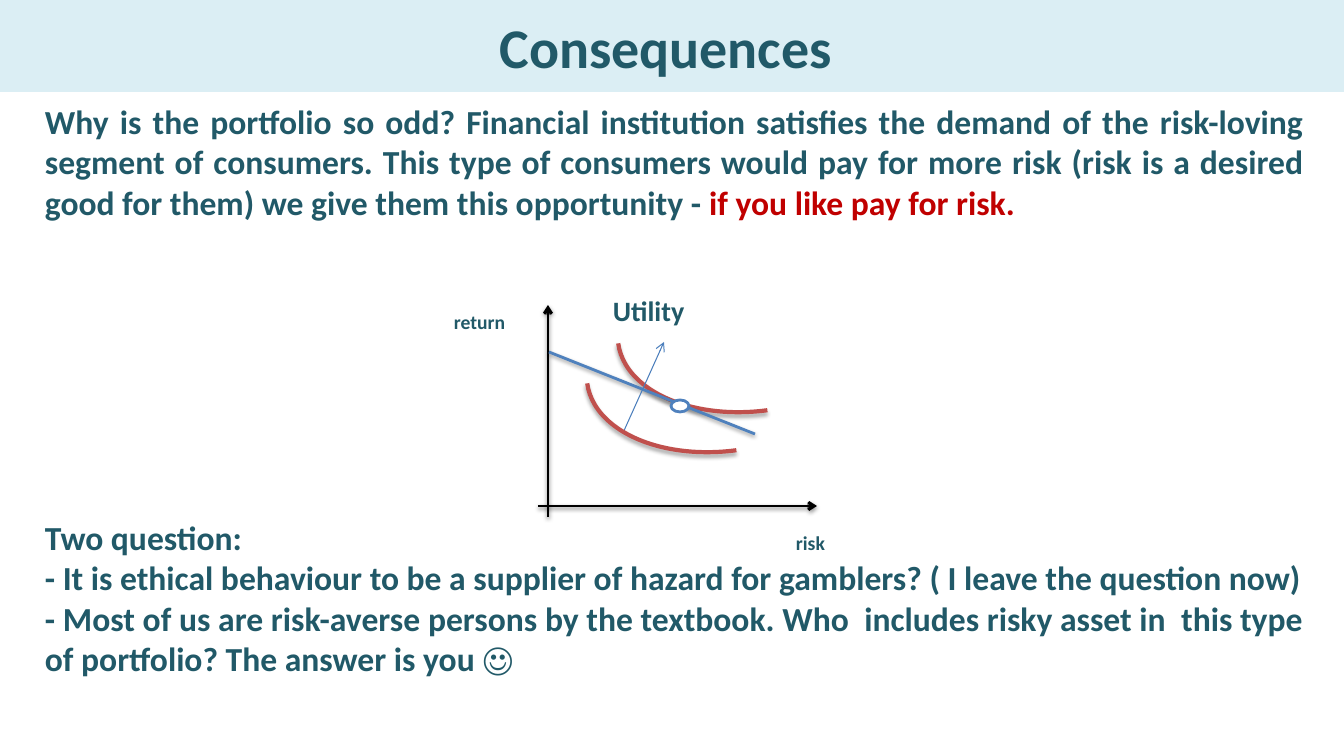
"""Build the Consequences slide with its indifference-curve diagram."""
from lxml import etree
from pptx import Presentation
from pptx.dml.color import RGBColor
from pptx.enum.shapes import MSO_CONNECTOR as CONN, MSO_SHAPE as SHAPE
from pptx.enum.text import MSO_ANCHOR as ANCHOR, MSO_AUTO_SIZE as AUTO, PP_ALIGN as ALIGN
from pptx.oxml.ns import qn
from pptx.util import Emu, Pt

EMU_PER_PX = 914400 / 100.8
TEAL = RGBColor(0x21, 0x59, 0x68)
PALE = RGBColor(0xDB, 0xEE, 0xF4)
RED = RGBColor(0xC0, 0x00, 0x00)
CURVE = RGBColor(0xC0, 0x50, 0x4D)
BLUE = RGBColor(0x4F, 0x81, 0xBD)
ARROW_BLUE = RGBColor(0x4B, 0x7E, 0xBC)
BLACK = RGBColor(0x00, 0x00, 0x00)
WHITE = RGBColor(0xFF, 0xFF, 0xFF)


def px(*values):
    return [Emu(round(v * EMU_PER_PX)) for v in values]


def add_run(p, text, size, color=TEAL):
    r = p.add_run()
    r.text = text
    for name, value in dict(name="Calibri", size=Pt(size), bold=True).items():
        setattr(r.font, name, value)
    r.font.color.rgb = color


def add_title(s, text, box):
    sp = s.shapes.title
    for name, value in zip(("left", "top", "width", "height"), px(*box)):
        setattr(sp, name, value)
    sp.fill.solid()
    sp.fill.fore_color.rgb = PALE
    tf = sp.text_frame
    for name, value in dict(auto_size=AUTO.NONE, vertical_anchor=ANCHOR.MIDDLE).items():
        setattr(tf, name, value)
    p = tf.paragraphs[0]
    p.alignment = ALIGN.CENTER
    add_run(p, text, 40)


def add_text(s, box, paragraphs, size, align=ALIGN.JUSTIFY):
    tf = s.shapes.add_textbox(*px(*box)).text_frame
    for name, value in dict(word_wrap=True, auto_size=AUTO.SHAPE_TO_FIT_TEXT).items():
        setattr(tf, name, value)
    for i, runs in enumerate(paragraphs):
        p = tf.add_paragraph() if i else tf.paragraphs[0]
        p.alignment = align
        for run in runs:
            add_run(p, run[0], size, *run[1:])


def set_effects(sp, distance=None, opacity=38):
    effects = etree.SubElement(sp._element.spPr, qn("a:effectLst"))
    if distance is None:
        return
    shadow = etree.SubElement(effects, qn("a:outerShdw"), blurRad=str(Pt(3.1)),
                              dist=str(Pt(distance)), dir="5400000", rotWithShape="0")
    color = etree.SubElement(shadow, qn("a:srgbClr"), val="000000")
    etree.SubElement(color, qn("a:alpha"), val=str(opacity * 1000))


def add_line(s, ends, color, width, arrow=True, shadow=True):
    line = s.shapes.add_connector(CONN.STRAIGHT, *px(*ends))
    line.line.color.rgb = color
    line.line.width = Pt(width)
    if arrow:
        etree.SubElement(line.line._get_or_add_ln(), qn("a:tailEnd"), type="arrow")
    set_effects(line, 1.6 if shadow else None)


def add_curve(s, left, top):
    arc = s.shapes.add_shape(SHAPE.ARC, *px(left, top, 278, 172))
    arc.rotation = 172.4
    arc.fill.background()
    arc.line.color.rgb = CURVE
    arc.line.width = Pt(3)
    set_effects(arc, 1.8, 35)


def add_tangency(s, box):
    dot = s.shapes.add_shape(SHAPE.OVAL, *px(*box))
    dot.shadow.inherit = False
    dot.fill.solid()
    dot.fill.fore_color.rgb = WHITE
    dot.line.color.rgb = BLUE
    dot.line.width = Pt(2)


def add_diagram(s):
    add_curve(s, 617, 239)
    add_line(s, (548, 517, 548, 305), BLACK, 2)
    add_line(s, (538, 506, 817, 506), BLACK, 2)
    add_line(s, (549, 352, 755, 434), BLUE, 2, arrow=False)
    add_text(s, (444, 305, 113, 34), [[("return",)]], 14)
    add_text(s, (786, 526, 88, 34), [[("risk",)]], 14)
    add_tangency(s, (671, 400, 18, 12))
    add_line(s, (623, 433, 664, 342), ARROW_BLUE, 0.75, shadow=False)
    add_text(s, (603, 289, 100, 44), [[("Utility",)]], 20, ALIGN.LEFT)
    add_curve(s, 586, 279)


def main():
    prs = Presentation()
    prs.slide_width, prs.slide_height = px(1344, 756)
    s = prs.slides.add_slide(prs.slide_layouts[5])
    add_title(s, "Consequences ", (0, 0, 1344, 92))
    add_text(s, (35, 96, 1279, 132), [[
        ("Why is the portfolio so odd? Financial institution satisfies the demand of the "
         "risk-loving segment of consumers. This type of consumers would pay for more risk "
         "(risk is a desired good for them) we give them this opportunity - ",),
        ("if you like pay for risk.", RED)]], 24)
    add_text(s, (35, 512, 1279, 173), [
        [("Two question:",)],
        [("- It is ethical behaviour to be a supplier of hazard for gamblers? "
          "( I leave the question now)",)],
        [("- Most of us are risk-averse persons by the textbook. Who  includes risky asset in  "
          "this type of portfolio? The answer is you ☺",)]], 24)
    add_diagram(s)
    prs.save("out.pptx")


if __name__ == "__main__":
    main()
